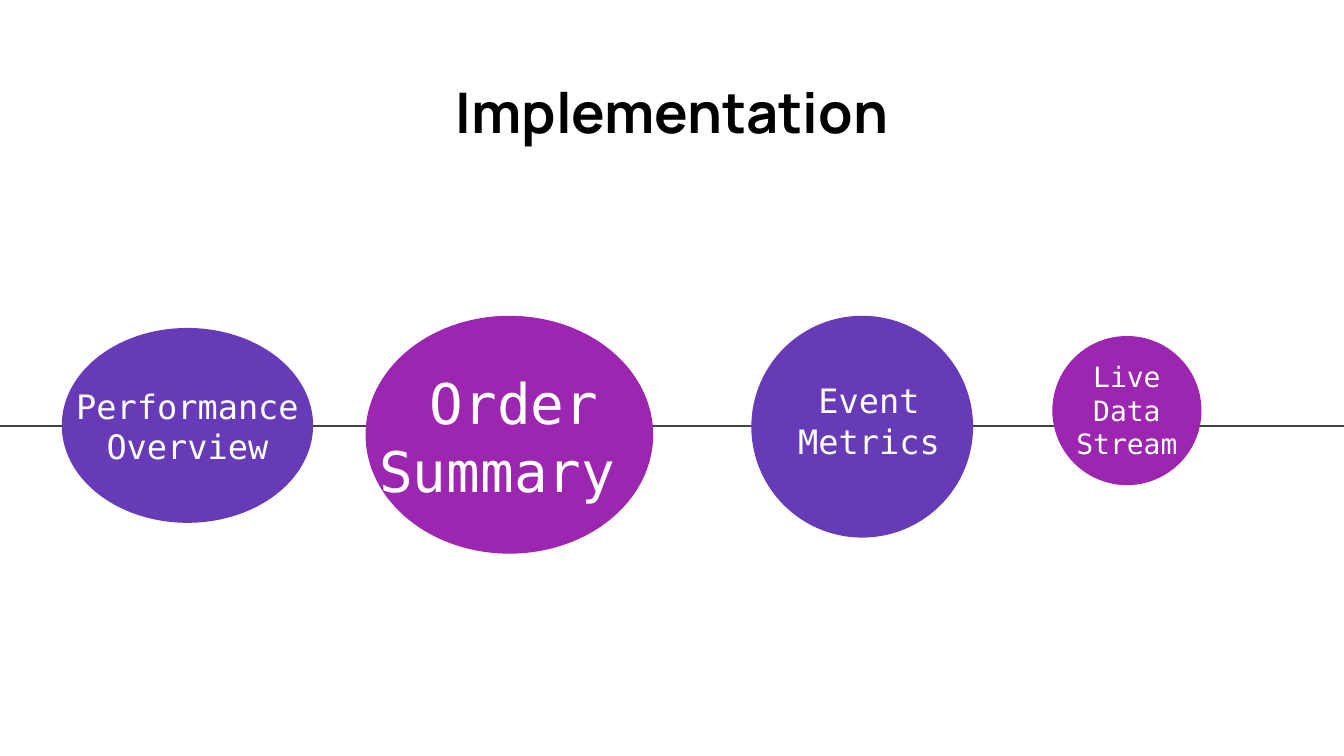
import dataclasses

import pptx
import pptx.dml.color
import pptx.enum.shapes
import pptx.enum.text
import pptx.oxml.ns
import pptx.slide
import pptx.util
from lxml import etree
from pptx.util import Inches

RGB = pptx.dml.color.RGBColor


@dataclasses.dataclass(frozen=True)
class Theme:
    title_font: str = "Manrope"
    label_font: str = "DejaVu Sans Mono"
    title_size: int = 30
    large: int = 30
    medium: int = 18
    small: int = 15
    ink: str = "000000"
    label: str = "FFFFFF"
    axis: str = "424242"
    violet: str = "673AB7"
    magenta: str = "9C26B0"


THEME = Theme()


@dataclasses.dataclass(frozen=True)
class Box:
    left: float
    top: float
    width: float
    height: float

    def lengths(self) -> tuple:
        return tuple(Inches(v) for v in dataclasses.astuple(self))


@dataclasses.dataclass(frozen=True)
class Stage:
    lines: tuple
    size: int
    color: str
    bubble: Box
    label: Box


STAGES = (
    Stage(("Performance", "Overview"), THEME.medium, THEME.violet,
          Box(0.46, 2.44, 1.87, 1.45), Box(0.46, 2.84, 1.87, 0.66)),
    # The trailing space nudges "Summary" to the left
    Stage(("Order", "Summary "), THEME.large, THEME.magenta,
          Box(2.72, 2.35, 2.14, 1.77), Box(2.65, 2.6, 2.35, 1.29)),
    Stage(("Event", "Metrics"), THEME.medium, THEME.violet,
          Box(5.59, 2.35, 1.65, 1.65), Box(5.64, 2.8, 1.65, 0.66)),
    Stage(("Live", "Data", "Stream"), THEME.small, THEME.magenta,
          Box(7.83, 2.5, 1.11, 1.11), Box(7.83, 2.71, 1.11, 0.68)),
)


def write_lines(shape, lines: tuple, font: str, size: int, color: str,
                bold: bool = False) -> None:
    frame = shape.text_frame
    frame.word_wrap = True
    frame.auto_size = pptx.enum.text.MSO_AUTO_SIZE.NONE
    frame.vertical_anchor = pptx.enum.text.MSO_ANCHOR.MIDDLE
    frame.margin_left = frame.margin_right = Inches(0.1)
    frame.margin_top = frame.margin_bottom = Inches(0.1)
    frame.text = "\n".join(lines)
    for paragraph in frame.paragraphs:
        paragraph.alignment = pptx.enum.text.PP_ALIGN.CENTER
        paragraph.font.name = font
        paragraph.font.size = pptx.util.Pt(size)
        paragraph.font.bold = bold
        paragraph.font.color.rgb = RGB.from_string(color)


def draw_title(slide: pptx.slide.Slide, text: str, box: Box) -> None:
    title = slide.shapes.title
    title.left, title.top, title.width, title.height = box.lengths()
    write_lines(title, (text,), THEME.title_font, THEME.title_size,
                THEME.ink, bold=True)


def draw_axis(slide: pptx.slide.Slide, y: float, start: float,
              end: float) -> None:
    axis = slide.shapes.add_connector(
        pptx.enum.shapes.MSO_CONNECTOR.STRAIGHT,
        Inches(start), Inches(y), Inches(end), Inches(y))
    axis.line.color.rgb = RGB.from_string(THEME.axis)
    axis.line.width = pptx.util.Pt(1.5)
    etree.SubElement(axis._element.spPr, pptx.oxml.ns.qn("a:effectLst"))


def draw_stage(slide: pptx.slide.Slide, stage: Stage) -> None:
    bubble = slide.shapes.add_shape(
        pptx.enum.shapes.MSO_SHAPE.OVAL, *stage.bubble.lengths())
    bubble.shadow.inherit = False
    bubble.fill.solid()
    bubble.fill.fore_color.rgb = RGB.from_string(stage.color)
    bubble.line.fill.background()
    label = slide.shapes.add_textbox(*stage.label.lengths())
    write_lines(label, stage.lines, THEME.label_font, stage.size, THEME.label)


def main() -> None:
    deck = pptx.Presentation()
    deck.slide_width = Inches(10)
    deck.slide_height = deck.slide_width * 9 // 16  # widescreen
    slide = deck.slides.add_slide(deck.slide_layouts[5])  # Title Only

    draw_title(slide, "Implementation", Box(0.34, 0.49, 9.32, 0.68))

    # Timeline with its stages
    draw_axis(slide, 3.17, -0.01, 10)
    for stage in STAGES:
        draw_stage(slide, stage)

    deck.save("out.pptx")


if __name__ == "__main__":
    main()
